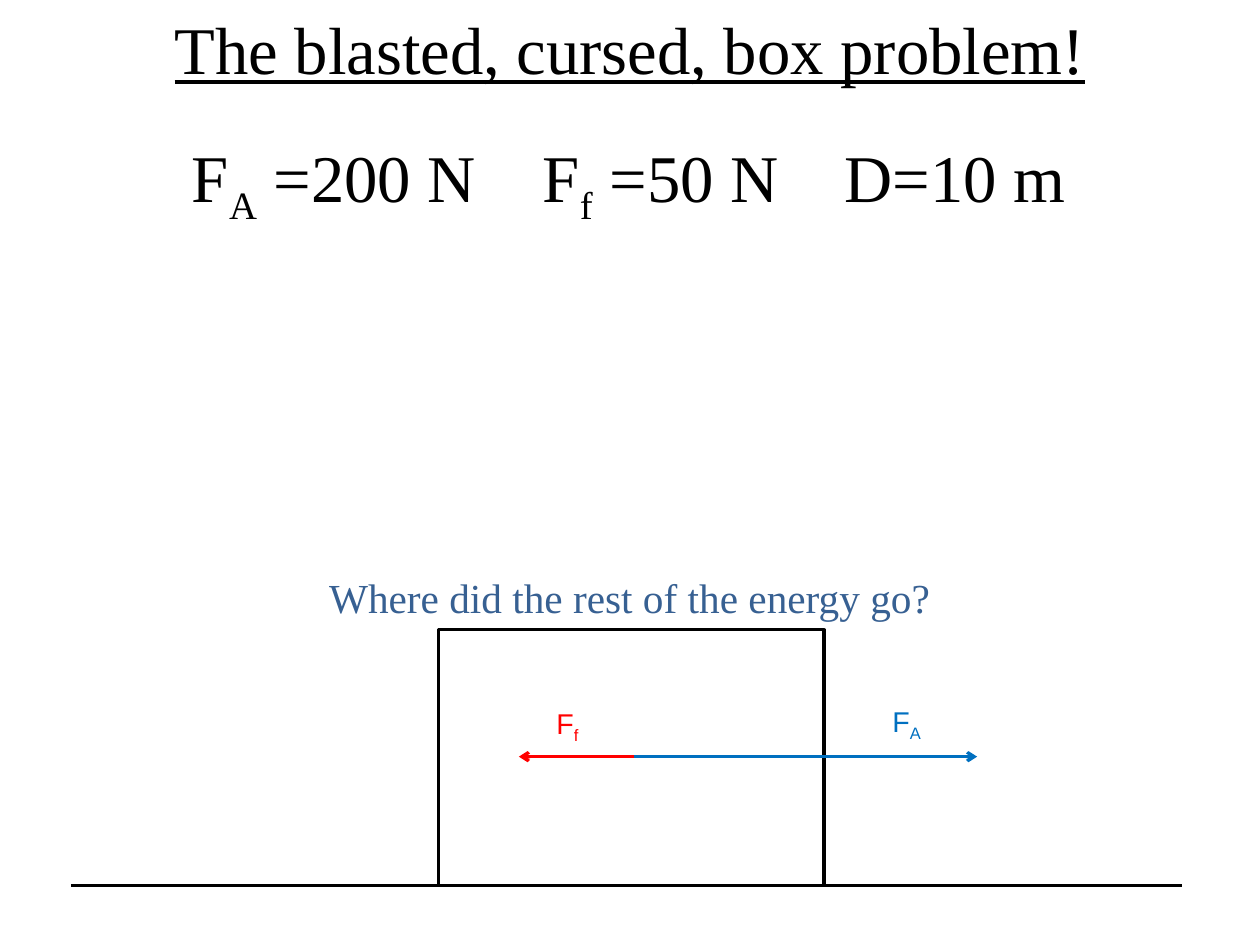
from dataclasses import dataclass
from lxml.etree import SubElement
from pptx import Presentation
from pptx.dml.color import RGBColor as Rgb
from pptx.enum.shapes import MSO_CONNECTOR as Link, MSO_SHAPE as Kind
from pptx.enum.text import PP_ALIGN as Align
from pptx.oxml.ns import qn
from pptx.util import Inches, Pt


@dataclass(frozen=True)
class Theme:
    serif: str = "Times New Roman"
    sans: str = "Arial"
    ink: str = "000000"
    paper: str = "FFFFFF"
    push: str = "0070C0"
    drag: str = "FF0000"
    ask: str = "376092"
    big: int = 42
    mid: int = 26
    small: int = 18
    line: int = 2


THEME = Theme()
WIDTH, HEIGHT = Pt(793.75), Pt(595.25)


def rgb(code):
    return Rgb.from_string(code)


def add_text(slide, box, parts, size, color, face=THEME.serif,
             align=Align.CENTER, under=None, pad=(0.11, 0.06),
             inset=0, tabs=()):
    frame = slide.shapes.add_textbox(*map(Inches, box)).text_frame
    frame.word_wrap = True
    frame.margin_left = Inches(pad[0] + inset)
    frame.margin_right = Inches(pad[0])
    frame.margin_top = frame.margin_bottom = Inches(pad[1])
    para = frame.paragraphs[0]
    para.alignment = align
    if tabs:
        stops = SubElement(para._p.get_or_add_pPr(), qn("a:tabLst"))
        for stop in tabs:
            SubElement(stops, qn("a:tab"), pos=str(Inches(stop)), algn="l")
    font = para.font
    font.name, font.size, font.underline = face, Pt(size), under
    font.color.rgb = rgb(color)
    for index, part in enumerate(parts):
        run = para.add_run()
        run.text = part
        if index % 2:
            run._r.get_or_add_rPr().set("baseline", "-25000")


def add_line(slide, start, end, color, arrow=False):
    line = slide.shapes.add_connector(
        Link.STRAIGHT, *map(Inches, (*start, *end)))
    line.line.color.rgb = rgb(color)
    line.line.width = Pt(THEME.line)
    if arrow:
        SubElement(line.line._get_or_add_ln(), qn("a:tailEnd"), type="arrow")
    SubElement(line._element.spPr, qn("a:effectLst"))


def add_head(slide, box):
    left, top, width, height = box
    add_text(slide, (left, top, width, 0.82),
             ["The blasted, cursed, box problem!"],
             THEME.big, THEME.ink, under=True)
    add_text(slide, (left, top + 1.12, width, 0.82),
             ["F", "A", " =200 N\tF", "f", " =50 N\tD=10 m"],
             THEME.big, THEME.ink, align=Align.LEFT,
             inset=1.57, tabs=(3.07, 5.71))


def add_scene(slide, box):
    left, top, width, height = box
    floor = top + height
    add_line(slide, (left, floor), (left + width, floor), THEME.ink)
    crate = slide.shapes.add_shape(
        Kind.RECTANGLE, *map(Inches, (left + 3.22, top, 3.37, height)))
    crate.shadow.inherit = False
    crate.fill.solid()
    crate.fill.fore_color.rgb = rgb(THEME.paper)
    crate.line.color.rgb = rgb(THEME.ink)
    crate.line.width = Pt(THEME.line)
    level = top + 1.11
    forces = (
        ("A", THEME.push, 4.89, 7.93),
        ("f", THEME.drag, 4.93, 3.92),
    )
    for name, color, start, end in forces:
        add_line(slide, (left + start, level), (left + end, level),
                 color, arrow=True)
    labels = (
        ("A", THEME.push, 7.09, 0.6),
        ("f", THEME.drag, 4.15, 0.62),
    )
    for name, color, across, drop in labels:
        add_text(slide, (left + across, top + drop, 0.58, 0.4), ["F", name],
                 THEME.small, color, THEME.sans, Align.LEFT, pad=(0.1, 0.05))


def add_ask(slide, box):
    add_text(slide, box, ["Where did the rest of the energy go?"],
             THEME.mid, THEME.ask)


def main():
    deck = Presentation()
    deck.slide_width, deck.slide_height = WIDTH, HEIGHT
    slide = deck.slides.add_slide(deck.slide_layouts[6])
    add_head(slide, (0, 0.01, WIDTH.inches, 1.94))
    add_scene(slide, (0.62, 5.51, 9.72, 2.24))
    add_ask(slide, (0, 4.95, WIDTH.inches, 0.55))
    deck.save("out.pptx")


if __name__ == "__main__":
    main()
